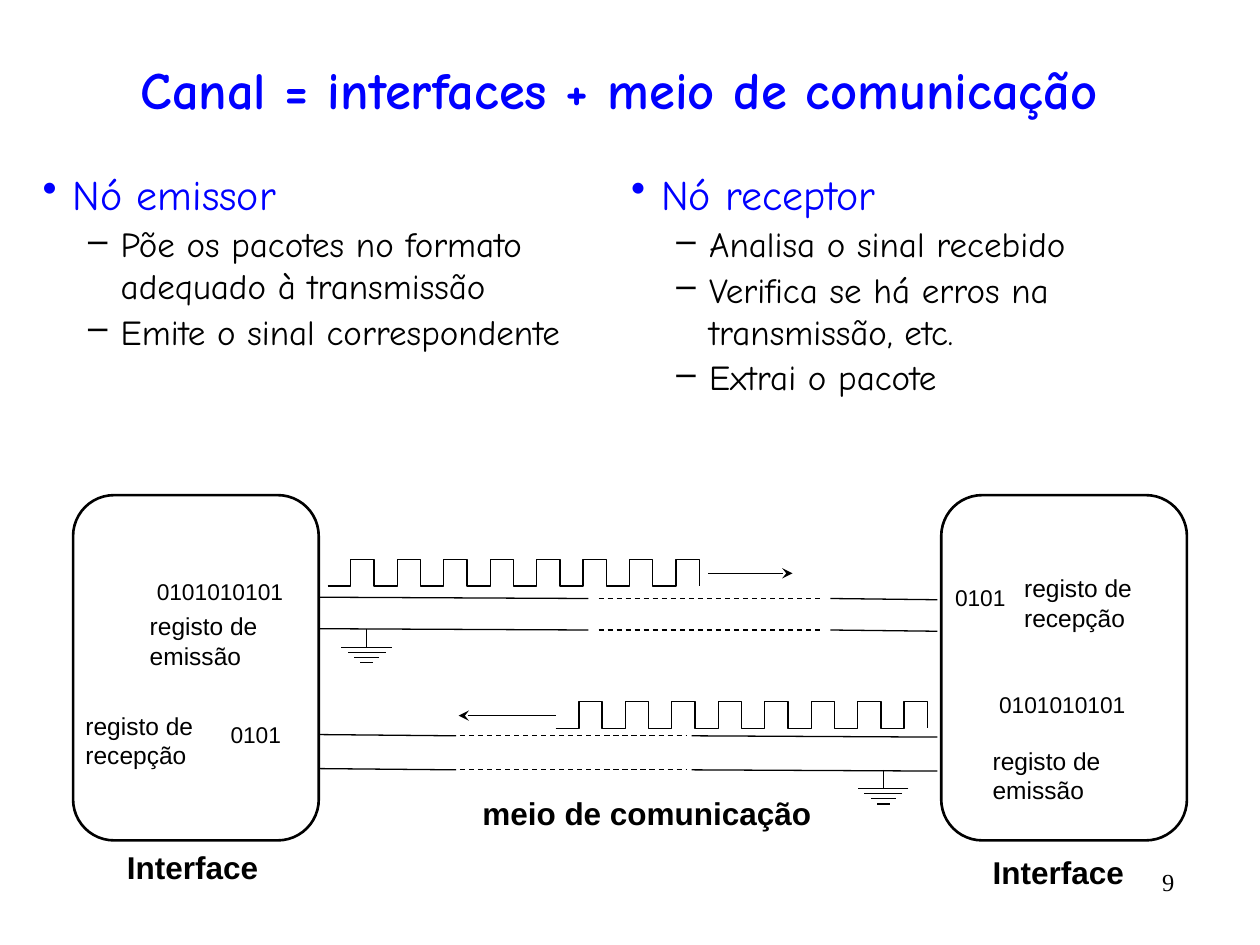
"""Build a slide on a channel made of two interfaces and a communication medium."""
from dataclasses import dataclass

from lxml import etree
from pptx import Presentation
from pptx import util as u
from pptx.dml.color import RGBColor
from pptx.enum import dml, shapes, text
from pptx.oxml import ns


@dataclass(frozen=True)
class Theme:
    blue: RGBColor = RGBColor(0, 0, 255)
    black: RGBColor = RGBColor(0, 0, 0)
    hand: str = "Comic Neue"
    sans: str = "Arial"
    serif: str = "Times New Roman"
    title: int = 30
    heading: int = 24
    item: int = 20
    caption: int = 18
    label: int = 14
    bits: int = 13
    wire: float = 0.75
    frame: float = 1.5


theme = Theme()
LEFT, CENTER, RIGHT = text.PP_ALIGN.LEFT, text.PP_ALIGN.CENTER, text.PP_ALIGN.RIGHT
TOP, MIDDLE = text.MSO_ANCHOR.TOP, text.MSO_ANCHOR.MIDDLE
deck = Presentation()
deck.slide_width, deck.slide_height = u.Inches(10), u.Inches(7.5)
page = deck.slides.add_slide(deck.slide_layouts[6])


def add_text(place, lines, size, font=theme.sans, color=theme.black, bold=False,
             align=LEFT, anchor=TOP, margin=0.1):
    box = page.shapes.add_textbox(*map(u.Inches, place))
    frame = box.text_frame
    frame.word_wrap = True
    frame.vertical_anchor = anchor
    frame.margin_left = frame.margin_right = u.Inches(0.1)
    frame.margin_top = frame.margin_bottom = u.Inches(margin)
    for index, line in enumerate(lines):
        para = frame.add_paragraph() if index else frame.paragraphs[0]
        para.alignment = align
        span = para.add_run()
        span.text = line
        span.font.name, span.font.size, span.font.bold = font, u.Pt(size), bold
        span.font.color.rgb = color
    return frame


def add_wire(start, end, dashed=False, arrow=False):
    wire = page.shapes.add_connector(
        shapes.MSO_CONNECTOR.STRAIGHT, *map(u.Inches, (*start, *end)))
    wire.line.color.rgb = theme.black
    wire.line.width = u.Pt(theme.wire)
    if dashed:
        wire.line.dash_style = dml.MSO_LINE.DASH
    if arrow:
        head = etree.SubElement(wire.line._get_or_add_ln(), ns.qn("a:tailEnd"))
        head.set("type", "stealth")
    etree.SubElement(wire._element.spPr, ns.qn("a:effectLst"))


add_text((0.33, 0.24, 9.17, 0.93), ["Canal = interfaces + meio de comunicação"],
         theme.title, theme.hand, theme.blue, True, CENTER, MIDDLE, 0.05)

columns = [
    ((0.24, 1.29, 4.67, 2.03),
     ["Nó emissor", "Põe os pacotes no formato adequado à transmissão",
      "Emite o sinal correspondente"]),
    ((4.91, 1.29, 4.92, 2.03),
     ["Nó receptor", "Analisa o sinal recebido",
      "Verifica se há erros na transmissão, etc.", "Extrai o pacote"]),
]
for place, lines in columns:
    frame = add_text(place, lines, theme.item, theme.hand, margin=0.05)
    for index, para in enumerate(frame.paragraphs):
        if index:
            indent, hang, mark, color = 0.62, 0.26, "–", theme.black
            para.level = 1
            para.space_before = u.Pt(2)
        else:
            indent, hang, mark, color = 0.24, 0.24, "•", theme.blue
            para.runs[0].font.size = u.Pt(theme.heading)
            para.runs[0].font.color.rgb = color
        props = para._p.get_or_add_pPr()
        props.set("marL", str(u.Inches(indent)))
        props.set("indent", str(-u.Inches(hang)))
        tint = etree.SubElement(props, ns.qn("a:buClr"))
        etree.SubElement(tint, ns.qn("a:srgbClr")).set("val", str(color))
        etree.SubElement(props, ns.qn("a:buChar")).set("char", mark)

add_text((8.42, 6.83, 1, 0.42), ["9"], theme.label, theme.serif, align=RIGHT, margin=0.05)

for left in (0.58, 7.47):
    interface = page.shapes.add_shape(
        shapes.MSO_SHAPE.FLOWCHART_ALTERNATE_PROCESS,
        *map(u.Inches, (left, 3.93, 1.95, 2.74)))
    interface.shadow.inherit = False
    interface.fill.background()
    interface.line.color.rgb = theme.black
    interface.line.width = u.Pt(theme.frame)

for top, left_end, dash_start, dash_end, right_start in [
        (4.75, 4.67, 4.75, 6.54, 6.59), (5, 4.67, 4.75, 6.54, 6.59),
        (5.84, 3.62, 3.65, 5.45, 5.49), (6.11, 3.62, 3.65, 5.45, 5.49)]:
    add_wire((left_end, top), (2.54, top - 0.01))
    add_wire((dash_start, top), (dash_end, top), dashed=True)
    add_wire((7.44, top + 0.01), (right_start, top))

for center, top in [(7.01, 6.11), (2.91, 4.99)]:
    add_wire((center, top), (center, top + 0.15))
    for index, half in enumerate((0.2, 0.15, 0.1, 0.05)):
        level = top + 0.15 + 0.04 * index
        add_wire((center + half, level), (center - half, level))

STEPS, STEP = 16, 2.95 / 16
for left, high, low in [(2.6, 4.44, 4.65), (4.41, 5.57, 5.78)]:
    points = []
    for index in range(1, STEPS + 1):
        levels = (low, high) if index % 2 else (high, low)
        points += [(u.Inches(left + index * STEP), u.Inches(level)) for level in levels]
    builder = page.shapes.build_freeform(u.Inches(left), u.Inches(low))
    builder.add_line_segments(points, close=False)
    signal = builder.convert_to_shape()
    signal.shadow.inherit = False
    signal.fill.background()
    signal.line.color.rgb = theme.black
    signal.line.width = u.Pt(theme.wire)

add_wire((5.62, 4.55), (6.29, 4.55), arrow=True)
add_wire((4.41, 5.68), (3.64, 5.68), arrow=True)

for place, bits in [
        ((0.96, 4.53, 1.57, 0.32), "0101010101"), ((7.53, 5.43, 1.8, 0.32), "0101010101"),
        ((7.36, 4.58, 0.84, 0.32), "0101"), ((1.61, 5.67, 0.84, 0.32), "0101")]:
    add_text(place, [bits], theme.bits, align=CENTER, anchor=MIDDLE)

for left, top in [(1.09, 4.75), (7.78, 5.82)]:
    add_text((left, top, 1.3, 0.41), ["registo de emissão"], theme.label)
for left, top in [(0.58, 5.54), (8.03, 4.45)]:
    add_text((left, top, 1.3, 0.61), ["registo de", "recepção"], theme.label)

for place, caption in [
        ((3.73, 6.2, 3.13, 0.41), "meio de comunicação"),
        ((0.91, 6.63, 1.3, 0.32), "Interface"), ((7.78, 6.67, 1.3, 0.32), "Interface")]:
    add_text(place, [caption], theme.caption, bold=True)

deck.save("out.pptx")
